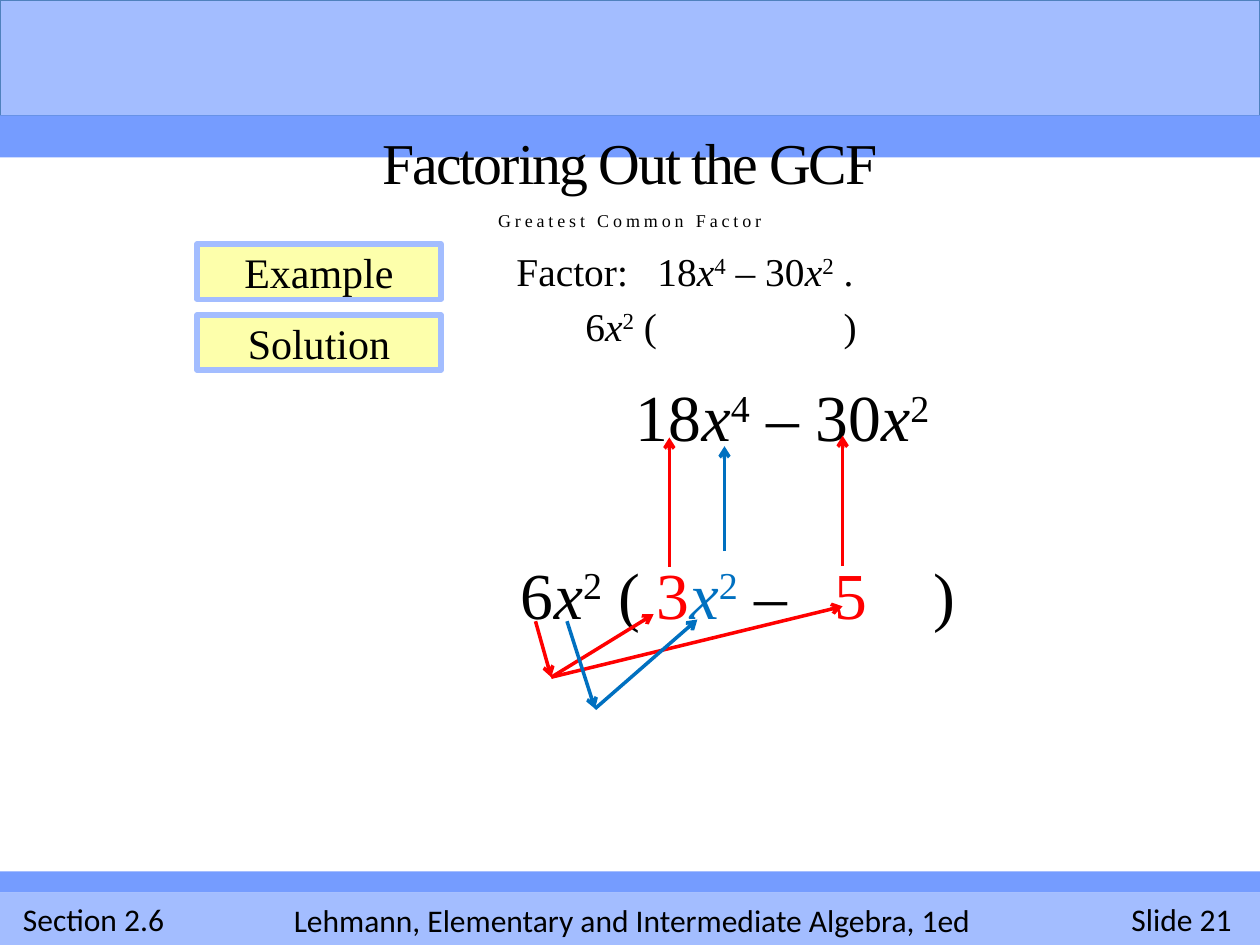
from collections import namedtuple

from lxml import etree
from pptx import Presentation
from pptx import util as u
from pptx.dml import color
from pptx.enum import shapes, text
from pptx.oxml import ns

Pt = u.Pt
Box = namedtuple("Box", "left top width height")
COLORS = {
    "pale": "A3BDFF", "band": "759CFF", "edge": "4F81BD", "label": "FDFFAB",
    "ink": "000000", "red": "FF0000", "blue": "0070C0",
}
SERIF = "Times New Roman"
ITALIC = {"italic": True}
CENTER = {"alignment": text.PP_ALIGN.CENTER}
MIDDLE = {"vertical_anchor": text.MSO_ANCHOR.MIDDLE}


def rgb(name):
    return color.RGBColor.from_string(COLORS[name])


def apply(target, values):
    for name, value in values.items():
        setattr(target, name, value)


def inside(box, left, top, width, height):
    return Box(box.left + left, box.top + top, width, height)


def add_rect(page, box, fill, line=None, weight=0.75):
    rect = page.shapes.add_shape(shapes.MSO_SHAPE.RECTANGLE, *map(Pt, box))
    rect.shadow.inherit = False
    rect.fill.solid()
    rect.fill.fore_color.rgb = rgb(fill)
    if line:
        rect.line.color.rgb = rgb(line)
        rect.line.width = Pt(weight)
    else:
        rect.line.fill.background()
    return rect


def add_text_box(page, box, wrap=True):
    holder = page.shapes.add_textbox(*map(Pt, box))
    holder.text_frame.word_wrap = wrap
    return holder


def add_span(para, words, size, name=SERIF, ink="ink", style=None, raised=False, spacing=None):
    span = para.add_run()
    span.text = words
    apply(span.font, {"size": Pt(size), "name": name, **(style or {})})
    span.font.color.rgb = rgb(ink)
    props = span.font._element
    if raised:
        props.set("baseline", "30000")
    if spacing is not None:
        props.set("spc", str(round(spacing * 100)))


def write_line(holder, words, size, frame_format=None, para_format=None, **span_format):
    apply(holder.text_frame, frame_format or {})
    para = holder.text_frame.paragraphs[0]
    apply(para, para_format or {})
    add_span(para, words, size, **span_format)


def power(exponent, ink="ink"):
    return [("x", {"ink": ink, "style": ITALIC}), (exponent, {"ink": ink, "raised": True})]


def plain(words, ink="ink"):
    return [(words, {"ink": ink})]


def write_formula(para, spans, size, stops, before=2.2):
    apply(para, {"space_before": Pt(before), "space_after": Pt(2.2)})
    props = para._p.get_or_add_pPr()
    tabs = etree.SubElement(props, ns.qn("a:tabLst"))
    for stop in stops:
        etree.SubElement(tabs, ns.qn("a:tab"), pos=str(Pt(stop)), algn="l")
    for words, span_format in spans:
        add_span(para, words, size, **span_format)


def add_arrow(page, start, end, ink):
    arrow = page.shapes.add_connector(
        shapes.MSO_CONNECTOR.STRAIGHT, *map(Pt, (*start, *end)))
    arrow.line.color.rgb = rgb(ink)
    arrow.line.width = Pt(2)
    etree.SubElement(arrow.line._get_or_add_ln(), ns.qn("a:tailEnd"), type="arrow")
    etree.SubElement(arrow._element.spPr, ns.qn("a:effectLst"))


def draw_header(page, box):
    add_rect(page, inside(box, 0, 0, box.width, 66), "pale", "edge")
    add_rect(page, inside(box, 0, 66, box.width, 24), "band")


def draw_footer(page, box):
    add_rect(page, inside(box, 0, 12, box.width, 30), "pale")
    add_rect(page, inside(box, 0, 0, box.width, 12), "band")
    book = add_rect(page, inside(box, 138, 13, 446.4, 29), "pale")
    write_line(book, "Lehmann, Elementary and Intermediate Algebra, 1ed", 18,
               MIDDLE, CENTER, name="Calibri")
    for words, left, width in [("Section 2.6", 6, 95), ("Slide 21", 639.5, 75)]:
        holder = add_text_box(page, inside(box, left, 13, width, 29), wrap=False)
        write_line(holder, words, 18, name="Calibri")


def draw_title(page, box):
    for words, top, height, size, spacing in [
        ("Factoring Out the GCF", 0, 49.5, 33, -1.1),
        ("Greatest Common Factor", 49.5, 18, 10.3, 2.2),
    ]:
        holder = add_text_box(page, inside(box, 0, top, box.width, height))
        write_line(holder, words, size, MIDDLE,
                   {**CENTER, "space_before": Pt(size * 0.2)}, spacing=spacing)


def draw_labels(page, box):
    for row, words in enumerate(["Example", "Solution"]):
        label = add_rect(page, inside(box, 0, row * 40.5, box.width, 31.5), "label", "pale", 3)
        write_line(label, words, 24, MIDDLE, CENTER)


def draw_problem(page, box):
    frame = add_text_box(page, box).text_frame
    question = plain("Factor:\t18") + power("4") + plain(" – 30") + power("2") + plain(" .")
    answer = plain("\t6") + power("2") + plain(" (\t)")
    write_formula(frame.paragraphs[0], question, 22.5, [80.6])
    write_formula(frame.add_paragraph(), answer, 22.5, [39.4, 187])


def draw_factoring(page, box):
    frame = add_text_box(page, box).text_frame
    product = plain("\t18") + power("4") + plain(" – 30") + power("2")
    factors = (plain("\t6") + power("2") + plain(" ( ") + plain("3", "red")
               + power("2", "blue") + plain(" –\t") + plain("5\t", "red") + plain(")"))
    write_formula(frame.paragraphs[0], product, 37.5, [131.25])
    write_formula(frame.add_paragraph(), factors, 37.5, [65.6, 245, 301.5], before=54)


def draw_arrows(page, box):
    red_turn, blue_turn = (90, 175.5), (115, 193.5)
    for start, end, ink in [
        (red_turn, (148.5, 139.5), "red"),
        ((81, 143.5), red_turn, "red"),
        ((157.5, 112.5), (157.5, 38.5), "red"),
        (red_turn, (256.5, 135), "red"),
        ((256.5, 112), (256.5, 37.5), "red"),
        ((99, 143.5), blue_turn, "blue"),
        (blue_turn, (173.5, 142.5), "blue"),
        ((189, 103.5), (189, 43.5), "blue"),
    ]:
        ends = [(box.left + left, box.top + top) for left, top in (start, end)]
        add_arrow(page, *ends, ink)


def main():
    deck = Presentation()
    apply(deck, {"slide_width": Pt(720), "slide_height": Pt(540)})
    page = deck.slides.add_slide(deck.slide_layouts[6])
    work = Box(225, 211.5, 387, 152)
    draw_header(page, Box(0, 0, 720, 90))
    draw_footer(page, Box(0, 498, 720, 42))
    draw_title(page, Box(90, 67.5, 540, 67.5))
    draw_labels(page, Box(112.5, 139.5, 139.5, 72))
    draw_factoring(page, work)
    draw_arrows(page, work)
    draw_problem(page, Box(288, 137.5, 212, 74))
    deck.save("out.pptx")


if __name__ == "__main__":
    main()
